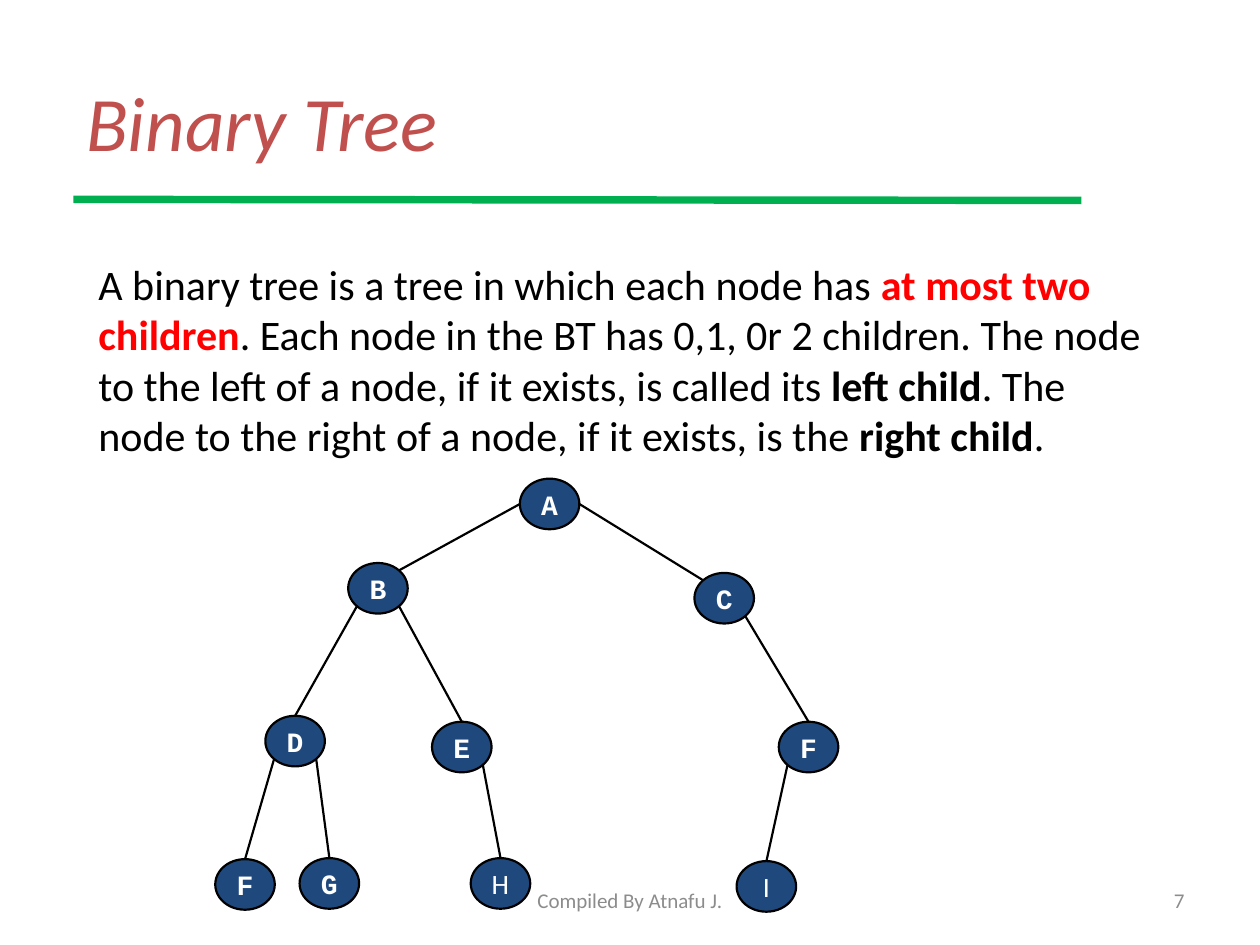
from dataclasses import dataclass

from lxml.etree import SubElement
from pptx import Presentation
from pptx.dml.color import RGBColor
from pptx.enum.shapes import MSO_CONNECTOR as Conn, MSO_SHAPE as Shape
from pptx.enum.text import MSO_ANCHOR as Anchor, PP_ALIGN as Align
from pptx.oxml.ns import qn
from pptx.util import Cm, Pt

NODE_W, NODE_H = 1.2, 1.02
DIAG = 0.354
SITES = {
    "top": (0, -0.5), "left": (-0.5, 0), "right": (0.5, 0),
    "top_left": (-DIAG, -DIAG), "top_right": (DIAG, -DIAG),
    "bottom_left": (-DIAG, DIAG), "bottom_right": (DIAG, DIAG),
}


@dataclass
class Node:
    label: str
    x: float
    y: float
    font: str = "Courier New"
    bold: bool = True

    def site(self, name: str) -> tuple[float, float]:
        dx, dy = SITES[name]
        return self.x + dx * NODE_W, self.y + dy * NODE_H


@dataclass
class Edge:
    parent: str
    start: str
    child: str
    end: str = "top"


@dataclass
class Footer:
    text: str
    left: float
    width: float
    align: Align


NODES = {
    "A": Node("A", 11.08, 10.16),
    "B": Node("B", 7.62, 11.86),
    "C": Node("C", 14.6, 12.06),
    "D": Node("D", 5.95, 14.94),
    "E": Node("E", 9.31, 15.06),
    "F": Node("F", 16.3, 15.06),
    "F leaf": Node("F", 4.94, 17.83),
    "G": Node("G", 6.64, 17.81),
    "H": Node("H", 10.09, 17.81, "Calibri", False),
    "I": Node("I", 15.45, 17.87, "Calibri", False),
}
EDGES = [
    Edge("A", "left", "B", "top_right"),
    Edge("A", "right", "C", "top_left"),
    Edge("B", "bottom_left", "D"),
    Edge("B", "bottom_right", "E"),
    Edge("C", "bottom_right", "F"),
    Edge("D", "bottom_left", "F leaf"),
    Edge("D", "bottom_right", "G"),
    Edge("E", "bottom_right", "H"),
    Edge("F", "bottom_left", "I"),
]
FOOTERS = [
    Footer("7", 18.2, 5.93, Align.RIGHT),
    Footer("Compiled By Atnafu J.", 8.68, 8.04, Align.CENTER),
]
BODY = [
    ("A binary tree is a tree in which each node has ", "000000", False),
    ("at most two children", "FF0000", True),
    (". Each node in the BT has 0,1, 0r 2 children. The node to the left "
     "of a node, if it exists, is called its ", "000000", False),
    ("left child", "000000", True),
    (". The node to the right of a node, if it exists, is the ", "000000", False),
    ("right child", "000000", True),
    (". ", "000000", False),
]


def rgb(color: str) -> RGBColor:
    return RGBColor.from_string(color)


def style(r, size: float, color: str, font: str = "Calibri",
          bold: bool = False, italic: bool = False) -> None:
    r.font.name, r.font.size = font, Pt(size)
    r.font.bold, r.font.italic = bold, italic
    r.font.color.rgb = rgb(color)


def place(s, left: float, top: float, width: float, height: float) -> None:
    s.left, s.top, s.width, s.height = Cm(left), Cm(top), Cm(width), Cm(height)


def add_line(shapes, start: tuple[float, float], end: tuple[float, float],
             color: str = "000000", width: float = 1.25) -> None:
    s = shapes.add_connector(Conn.STRAIGHT, *map(Cm, (*start, *end)))
    s.line.color.rgb, s.line.width = rgb(color), Pt(width)
    SubElement(s._element.spPr, qn("a:effectLst"))


def add_node(shapes, node: Node) -> None:
    s = shapes.add_shape(Shape.OVAL, Cm(node.x - NODE_W / 2),
                         Cm(node.y - NODE_H / 2), Cm(NODE_W), Cm(NODE_H))
    s.shadow.inherit = False
    s.fill.solid()
    s.fill.fore_color.rgb = rgb("1F497D")
    s.line.color.rgb, s.line.width = rgb("000000"), Pt(1.25)
    tf = s.text_frame
    tf.text, tf.word_wrap, tf.vertical_anchor = node.label, False, Anchor.MIDDLE
    p = tf.paragraphs[0]
    p.alignment = Align.CENTER
    style(p.runs[0], 16, "FFFFFF", node.font, node.bold)


def add_footer(shapes, footer: Footer) -> None:
    s = shapes.add_textbox(Cm(footer.left), Cm(17.65), Cm(footer.width), Cm(1.01))
    tf = s.text_frame
    tf.text, tf.word_wrap, tf.vertical_anchor = footer.text, True, Anchor.MIDDLE
    p = tf.paragraphs[0]
    p.alignment = footer.align
    style(p.runs[0], 12, "8C8C8C")


prs = Presentation()
prs.slide_width, prs.slide_height = Cm(25.4), Cm(19.05)
slide = prs.slides.add_slide(prs.slide_layouts[1])
shapes = slide.shapes

title = shapes.title
place(title, 1.48, 0.85, 22.86, 3.17)
title.text_frame.text = "Binary Tree"
title.text_frame.vertical_anchor = Anchor.MIDDLE
p = title.text_frame.paragraphs[0]
p.alignment = Align.LEFT
style(p.runs[0], 44, "C0504D", italic=True)

body = slide.placeholders[1]
place(body, 1.73, 5.08, 21.59, 12.7)
p = body.text_frame.paragraphs[0]
for text, color, bold in BODY:
    r = p.add_run()
    r.text = text
    style(r, 24, color, bold=bold)
pPr = p._p.get_or_add_pPr()
pPr.set("marL", "0")
pPr.set("indent", "0")
SubElement(pPr, qn("a:buNone"))

add_line(shapes, (1.48, 4.02), (21.8, 4.04), "00B050", 4.25)
for edge in EDGES:
    add_line(shapes, NODES[edge.parent].site(edge.start),
             NODES[edge.child].site(edge.end))
for node in NODES.values():
    add_node(shapes, node)
for footer in FOOTERS:
    add_footer(shapes, footer)

prs.save("out.pptx")
